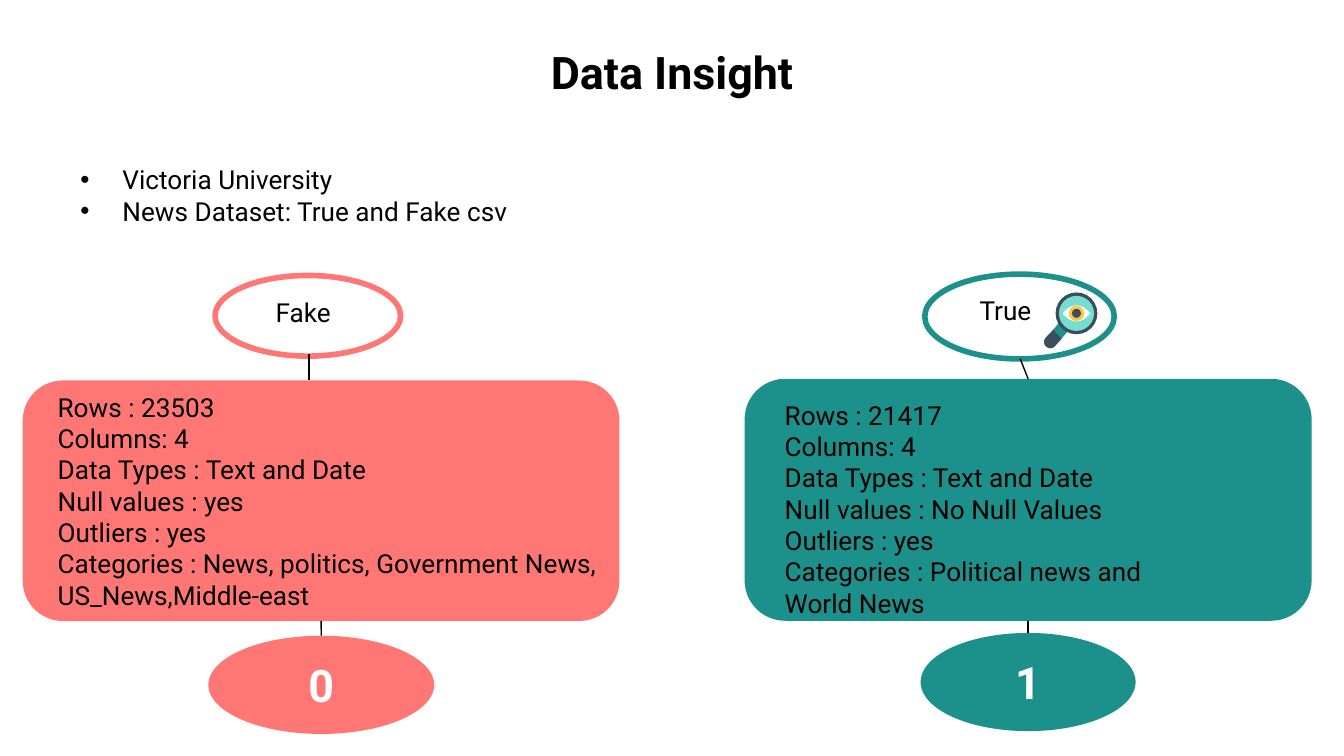
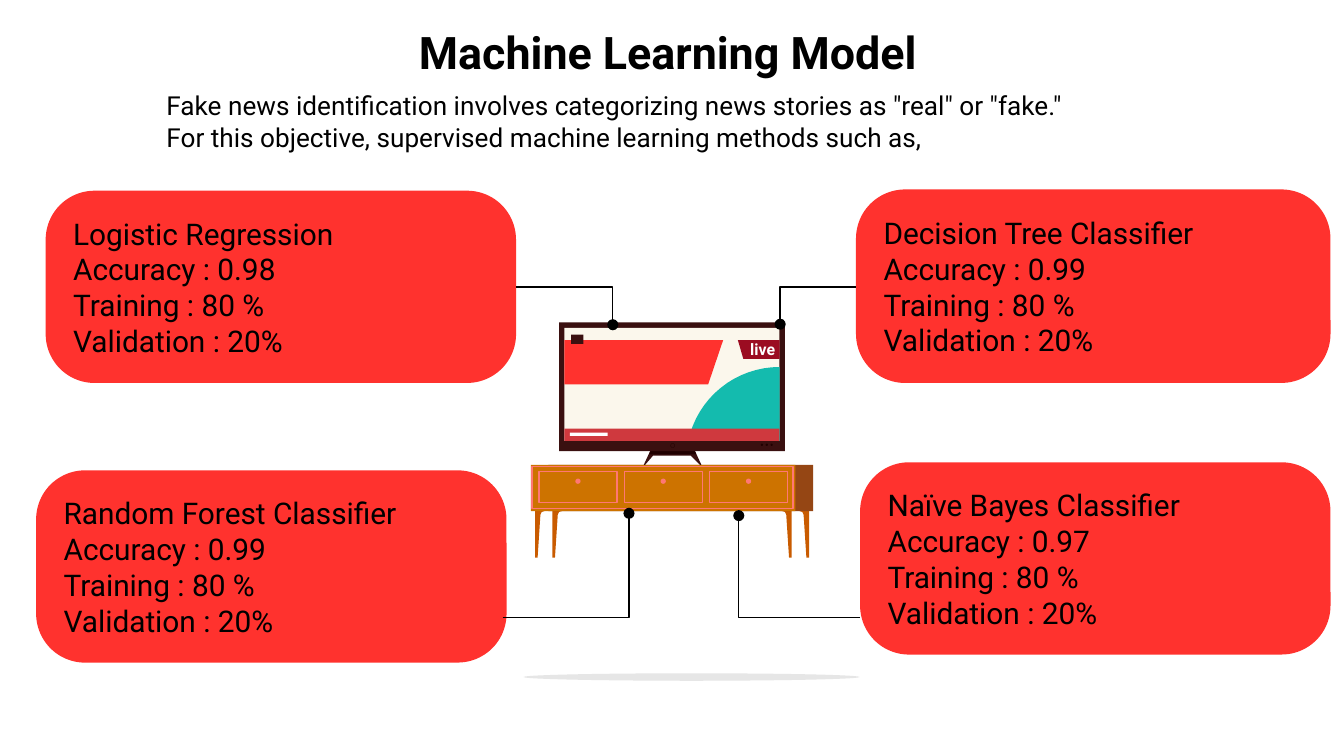
import math
from dataclasses import dataclass
from typing import NamedTuple

import lxml.etree
import pptx
import pptx.dml.color
import pptx.enum.shapes
import pptx.enum.text
import pptx.oxml.ns
import pptx.util

Pt = pptx.util.Pt
qn = pptx.oxml.ns.qn
SHAPE = pptx.enum.shapes.MSO_SHAPE
CONNECTOR = pptx.enum.shapes.MSO_CONNECTOR
ALIGN = pptx.enum.text.PP_ALIGN
ANCHOR = pptx.enum.text.MSO_ANCHOR

FONT = "Roboto"
BLACK, WHITE = "000000", "FFFFFF"
CORAL, TEAL, RED = "FF7774", "1C918B", "FF322E"
SLATE, MINT, AMBER = "394D5C", "77DDD0", "FFC543"
FRAME_BROWN, DARK_BROWN, LEG_BROWN = "3A1010", "200000", "C95B00"
TOP, BOTTOM = 0, 2


class Frame(NamedTuple):
    x: float
    y: float
    w: float
    h: float

    @property
    def center_x(self) -> float:
        return self.x + self.w / 2

    @property
    def bottom(self) -> float:
        return self.y + self.h


class Point(NamedTuple):
    x: float
    y: float


@dataclass
class Dataset:
    name: str
    code: str
    color: str
    facts: list[str]
    name_oval: Frame
    name_text: Frame
    name_align: int
    panel: Frame
    facts_text: Frame
    code_oval: Frame
    stem: tuple[Point, Point]


@dataclass
class Model:
    name: str
    accuracy: str
    card: Frame
    link: tuple[Point, Point]


DATASETS = [
    Dataset("Fake", "0", CORAL,
            ["Rows : 23503", "Columns: 4", "Data Types : Text and Date",
             "Null values : yes", "Outliers : yes",
             "Categories : News, politics, Government News, US_News,Middle-east"],
            Frame(115.2, 147.6, 99.4, 43.2), Frame(124.6, 155.5, 75.6, 24.5), ALIGN.CENTER,
            Frame(12.2, 203.8, 319.7, 128.9), Frame(23.8, 205.9, 360, 126),
            Frame(111.6, 340.6, 121, 52.6), (Point(165.6, 203.8), Point(165.6, 189.4))),
    Dataset("True", "1", TEAL,
            ["Rows : 21417", "Columns: 4", "Data Types : Text and Date",
             "Null values : No Null Values", "Outliers : yes",
             "Categories : Political news and World News"],
            Frame(495.4, 146.9, 101.5, 45.4), Frame(517.7, 154.1, 69.8, 24.5), ALIGN.LEFT,
            Frame(398.9, 203, 303.8, 129.6), Frame(413.3, 210.2, 241.2, 126),
            Frame(493.2, 339.1, 115.2, 52.6), (Point(550.8, 203), Point(546.5, 192.2))),
]

MODELS = [
    Model("Logistic Regression", "0.98", Frame(24.5, 102.2, 252, 103),
          (Point(276.5, 153.7), Point(328.3, 174))),
    Model("Decision Tree Classifier", "0.99", Frame(458.6, 101.5, 254.2, 103.7),
          (Point(458.6, 153.7), Point(418, 173.7))),
    Model("Random Forest Classifier", "0.99", Frame(19.4, 252, 252, 103),
          (Point(269.3, 330.7), Point(337, 275))),
    Model("Naïve Bayes Classifier", "0.97", Frame(460.8, 247.7, 252, 103),
          (Point(460.8, 331), Point(395.8, 276.3))),
]


def rgb(color: str):
    return pptx.dml.color.RGBColor.from_string(color)


def paint(shape, fill: str | None, line: str | None, width: float) -> None:
    shape.shadow.inherit = False
    if fill:
        shape.fill.solid()
        shape.fill.fore_color.rgb = rgb(fill)
    else:
        shape.fill.background()
    if line:
        shape.line.color.rgb = rgb(line)
        shape.line.width = Pt(width)
    else:
        shape.line.fill.background()


def draw(slide, kind, frame: Frame, fill: str | None, line: str | None = None,
         width: float = 0.75, corner: float | None = None):
    shape = slide.shapes.add_shape(kind, *map(Pt, frame))
    if corner is not None:
        shape.adjustments[0] = corner
    paint(shape, fill, line, width)
    return shape


def disc(slide, center: Point, radius: float, fill: str):
    frame = Frame(center.x - radius, center.y - radius, 2 * radius, 2 * radius)
    return draw(slide, SHAPE.OVAL, frame, fill)


def polygon(slide, points: list[tuple[float, float]], fill: str):
    corners = [(Pt(x), Pt(y)) for x, y in points]
    builder = slide.shapes.build_freeform(*corners[0])
    builder.add_line_segments(corners[1:], close=True)
    shape = builder.convert_to_shape()
    paint(shape, fill, None, 0)
    return shape


def arc(center: Point, radius: float, start: float, end: float, steps: int = 16):
    """Points on a circle; degrees run clockwise from the right."""
    angles = [math.radians(start + (end - start) * i / steps) for i in range(steps + 1)]
    return [(center.x + radius * math.cos(a), center.y + radius * math.sin(a)) for a in angles]


def write(shape, lines: list[str], size: float, color: str = BLACK, bold: bool = False,
          align=ALIGN.LEFT, anchor=ANCHOR.TOP, inset: tuple[float, float] = (7.2, 7.2)):
    frame = shape.text_frame
    frame.word_wrap = True
    frame.vertical_anchor = anchor
    frame.margin_left = frame.margin_right = Pt(inset[0])
    frame.margin_top = frame.margin_bottom = Pt(inset[1])
    frame.text = "\n".join(lines)
    for paragraph in frame.paragraphs:
        paragraph.alignment = align
        for run in paragraph.runs:
            run.font.name = FONT
            run.font.size = Pt(size)
            run.font.bold = bold
            run.font.color.rgb = rgb(color)
    return frame


def text_box(slide, frame: Frame, lines: list[str], size: float = 14, **style):
    style.setdefault("inset", (7.2, 3.6))
    return write(slide.shapes.add_textbox(*map(Pt, frame)), lines, size, **style)


def title(slide, text: str, x: float, y: float) -> None:
    text_box(slide, Frame(x, y, 648, 45.4), [text], 24, bold=True,
             align=ALIGN.CENTER, inset=(7.2, 7.2))


def add_bullets(text_frame) -> None:
    for paragraph in text_frame.paragraphs:
        props = paragraph._p.get_or_add_pPr()
        props.set("marL", str(Pt(22.5)))
        props.set("indent", str(-Pt(22.5)))
        color = lxml.etree.SubElement(props, qn("a:buClr"))
        lxml.etree.SubElement(color, qn("a:srgbClr"), val=BLACK)
        lxml.etree.SubElement(props, qn("a:buFont"), typeface="Arial")
        lxml.etree.SubElement(props, qn("a:buChar"), char="•")


def connect(slide, kind, start: Point, end: Point):
    connector = slide.shapes.add_connector(kind, *map(Pt, (*start, *end)))
    connector.line.color.rgb = rgb(BLACK)
    connector.line.width = Pt(0.75)
    lxml.etree.SubElement(connector._element.spPr, qn("a:effectLst"))
    return connector


def dotted_elbow(slide, start: Point, end: Point) -> None:
    """Run level to the end's x, then upright to a dot."""
    connector = connect(slide, CONNECTOR.ELBOW, start, end)
    props = connector._element.spPr
    guides = props.find(qn("a:prstGeom")).get_or_add_avLst()
    lxml.etree.SubElement(guides, qn("a:gd"), name="adj1", fmla="val 100000")
    lxml.etree.SubElement(props.find(qn("a:ln")), qn("a:tailEnd"), type="oval")


def draw_dataset(slide, data: Dataset) -> None:
    panel = draw(slide, SHAPE.ROUNDED_RECTANGLE, data.panel, data.color, corner=0.167)
    draw(slide, SHAPE.OVAL, data.name_oval, WHITE, data.color, 3)
    stem = connect(slide, CONNECTOR.STRAIGHT, *data.stem)
    if abs(data.stem[0].x - data.panel.center_x) < 1:
        stem.begin_connect(panel, TOP)
    code = draw(slide, SHAPE.OVAL, data.code_oval, data.color)
    write(code, [data.code], 24, WHITE, True, ALIGN.CENTER, ANCHOR.MIDDLE)
    link = connect(slide, CONNECTOR.STRAIGHT, Point(data.panel.center_x, data.panel.bottom),
                   Point(data.code_oval.center_x, data.code_oval.y))
    link.begin_connect(panel, BOTTOM)
    link.end_connect(code, TOP)
    text_box(slide, data.name_text, [data.name], align=data.name_align)
    text_box(slide, data.facts_text, data.facts)


def draw_magnifier(slide) -> None:
    lens = Point(576.7, 167.9)
    polygon(slide, arc(Point(562.7, 183.2), 3.4, 225, 45) + [(568.8, 181.4), (564.5, 176.4)], SLATE)
    polygon(slide, [(567.4, 172.8), (564.5, 176.4), (568.8, 181.4), (571.7, 177.8)], TEAL)
    disc(slide, lens, 11.2, SLATE)
    disc(slide, lens, 9.4, MINT)
    steps = [i / 8 for i in range(-8, 9)]
    upper = [(lens.x + 7.4 * t, lens.y - 4.3 * (1 - t * t)) for t in steps]
    lower = [(x, 2 * lens.y - y) for x, y in reversed(upper[1:-1])]
    polygon(slide, upper + lower, WHITE)
    disc(slide, lens, 4.2, AMBER)
    disc(slide, lens, 2.4, SLATE)


def draw_cabinet(slide) -> None:
    for outer, inward in ((424.1, -1), (433.4, -1), (295.9, 1), (286.6, 1)):
        outline = [(0, 273.4), (0, 298.8), (1.4, 298.8), (2.9, 275.8), (3.6, 274.3), (5.8, 273.6)]
        polygon(slide, [(outer + inward * dx, y) for dx, y in outline], LEG_BROWN)
    draw(slide, SHAPE.RECTANGLE, Frame(293.8, 249.1, 141.8, 24.8), "954614")
    draw(slide, SHAPE.RECTANGLE, Frame(284.4, 249.1, 141.8, 24.8), "CD7300")
    draw(slide, SHAPE.RECTANGLE, Frame(285.1, 249.8, 139.7, 22.7), None, CORAL)
    for column in range(3):
        drawer = Frame(288.7 + 45.7 * column, 252.7, 41.8, 16.6)
        draw(slide, SHAPE.RECTANGLE, drawer, None, CORAL)
        disc(slide, Point(drawer.center_x, 257.8), 1.4, CORAL)


def draw_television(slide) -> None:
    polygon(slide, [(349.2, 239.8), (344.9, 249.1), (345.6, 249.1), (349.9, 244.1),
                    (370.1, 244.1), (375.1, 249.1), (375.8, 249.1), (371.5, 239.8)], FRAME_BROWN)
    polygon(slide, [(349.2, 239.8), (347.8, 243.4), (373, 243.4), (371.5, 239.8)], DARK_BROWN)
    draw(slide, SHAPE.RECTANGLE, Frame(299.5, 172.8, 121, 69), FRAME_BROWN)
    draw(slide, SHAPE.RECTANGLE, Frame(302.4, 175.7, 115.2, 60.5), "FBF7EC")
    for button in range(3):
        disc(slide, Point(408.2 + 2.6 * button, 238.3), 0.6, DARK_BROWN)
    draw(slide, SHAPE.OVAL, Frame(359.3, 237.6, 2.2, 2.2), None, DARK_BROWN, 0.13)
    polygon(slide, [(302.4, 182.2), (302.4, 205.9), (379.4, 205.9), (387.4, 182.2)], RED)
    polygon(slide, [(395.3, 182.2), (398.2, 192.2), (417.6, 192.2), (417.6, 182.2)], "9B0C21")
    polygon(slide, arc(Point(417.6, 246.6), 50, 270, 192) + [(417.6, 236.2)], "14BBAE")
    draw(slide, SHAPE.RECTANGLE, Frame(302.4, 229.7, 115.2, 6.5), "CF393E")
    draw(slide, SHAPE.RECTANGLE, Frame(305.3, 231.8, 20.2, 1.8), WHITE)
    text_box(slide, Frame(398.6, 182.2, 20, 10), ["live"], 8.5, color=WHITE, bold=True,
             align=ALIGN.CENTER, anchor=ANCHOR.MIDDLE, inset=(0, 0))
    draw(slide, SHAPE.RECTANGLE, Frame(306, 179.3, 6.5, 5), FRAME_BROWN)


def draw_model(slide, model: Model) -> None:
    card = draw(slide, SHAPE.ROUNDED_RECTANGLE, model.card, RED, corner=0.254)
    write(card, [model.name, f"Accuracy : {model.accuracy}", "Training : 80 %",
                 "Validation : 20%"], 16, anchor=ANCHOR.MIDDLE)
    dotted_elbow(slide, *model.link)


def build_data_insight(slide) -> None:
    title(slide, "Data Insight", 36, 16.6)
    add_bullets(text_box(slide, Frame(36, 70.6, 375.8, 67.7),
                         ["Victoria University", "News Dataset: True and Fake csv"],
                         anchor=ANCHOR.MIDDLE))
    for data in DATASETS:
        draw_dataset(slide, data)
    draw_magnifier(slide)


def build_models(slide) -> None:
    title(slide, "Machine Learning Model", 33.8, 5.8)
    draw(slide, SHAPE.OVAL, Frame(280.5, 360.7, 180, 4), "E6E6E6")
    draw_cabinet(slide)
    draw_television(slide)
    text_box(slide, Frame(82.1, 44.6, 604.8, 58.3),
             ['Fake news identification involves categorizing news stories as "real" or "fake."',
              "For this objective, supervised machine learning methods such as,"])
    for model in MODELS:
        draw_model(slide, model)


def main() -> None:
    deck = pptx.Presentation()
    deck.slide_width, deck.slide_height = Pt(720), Pt(405)
    for build in (build_data_insight, build_models):
        build(deck.slides.add_slide(deck.slide_layouts[6]))
    deck.save("out.pptx")


if __name__ == "__main__":
    main()
